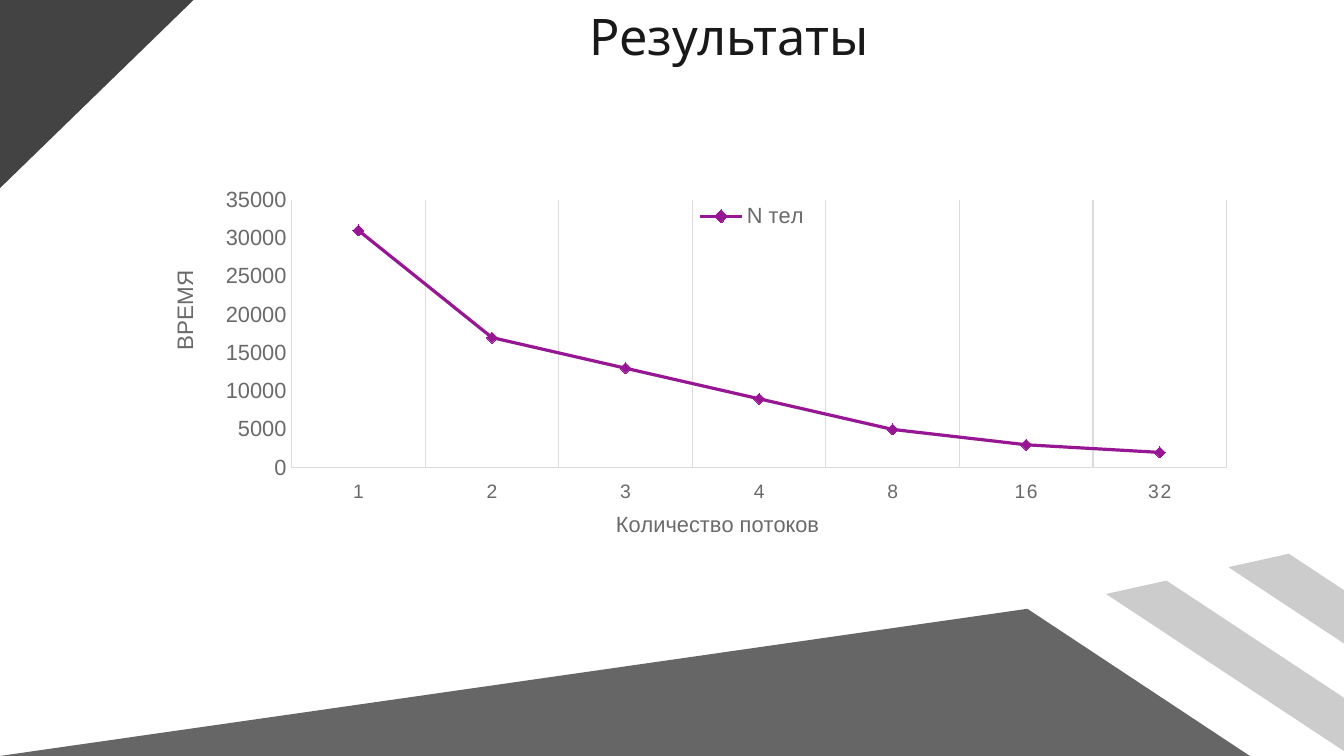
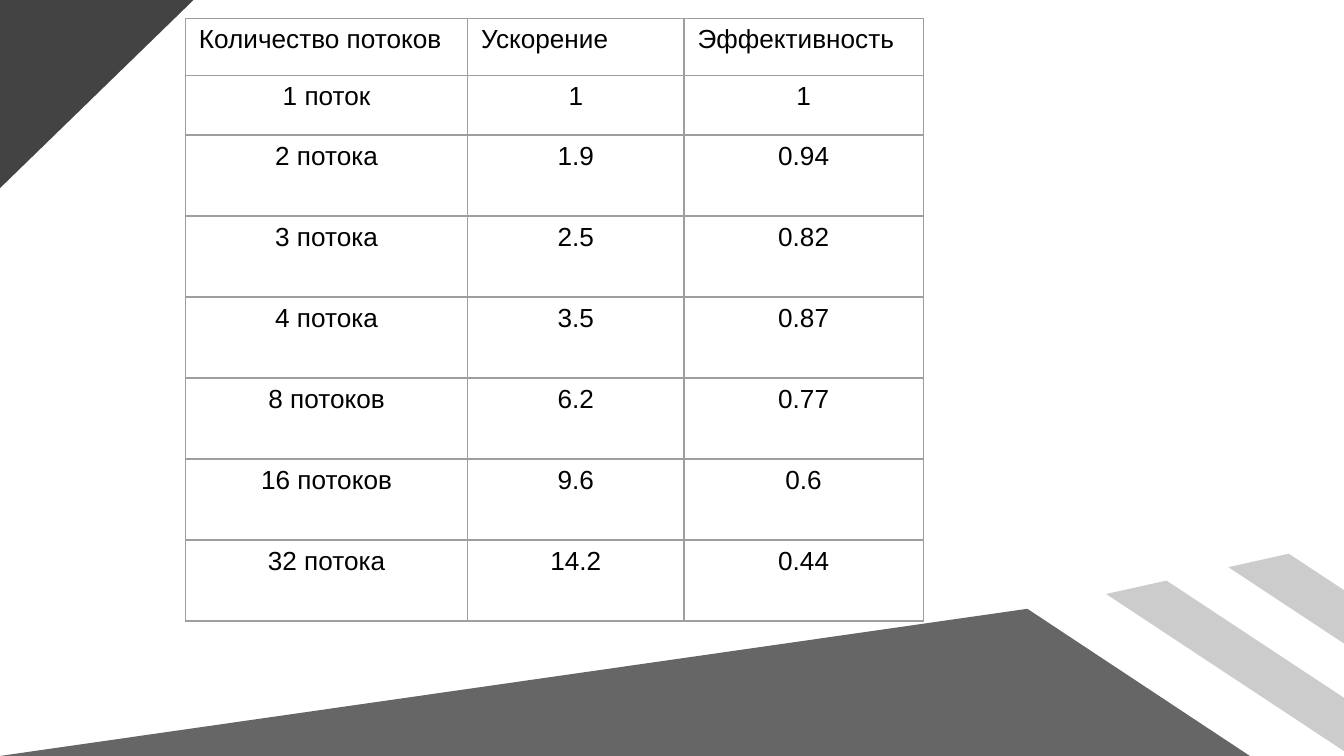
from dataclasses import dataclass

from lxml.etree import SubElement
from pptx import Presentation
from pptx.chart.data import CategoryChartData
from pptx.dml.color import RGBColor
from pptx.enum.chart import (XL_CHART_TYPE, XL_LEGEND_POSITION, XL_MARKER_STYLE,
                             XL_TICK_LABEL_POSITION, XL_TICK_MARK)
from pptx.enum.shapes import MSO_SHAPE
from pptx.enum.text import MSO_ANCHOR, PP_ALIGN
from pptx.oxml import parse_xml
from pptx.oxml.ns import nsdecls, qn
from pptx.util import Inches, Pt

CELL = 0.1  # inches per grid cell: 100 columns by 56.25 rows
COLS, ROWS = 100, 56.25


@dataclass(frozen=True)
class Theme:
    """Colours, fonts and type sizes of the deck."""
    floor: str = "666666"
    corner: str = "434343"
    stripe: str = "CCCCCC"
    title: str = "191919"
    label: str = "6A6A6A"
    rule: str = "DCDCDC"
    border: str = "9E9E9E"
    ink: str = "000000"
    curve: str = "961693"
    edge: str = "303030"
    head: str = "Cabin"
    body: str = "Arial"
    big: float = 27
    cell: float = 14
    note: float = 12
    tick: float = 10.6


def grid(*cells):
    """Turn grid cells into lengths."""
    return [Inches(n * CELL) for n in cells]


def tint(part, color):
    """Fill a fill format with one colour."""
    part.solid()
    part.fore_color.rgb = RGBColor.from_string(color)


def stroke(line, color, width):
    """Set the colour and width of a line."""
    tint(line.fill, color)
    line.width = Pt(width)


def style(font, size, color, face):
    """Set a font's size, colour and face."""
    font.size, font.name, font.bold = Pt(size), face, False
    font.color.rgb = RGBColor.from_string(color)


def write(frame, words, size=12, color="000000", face="Arial", align=PP_ALIGN.CENTER):
    """Put formatted words into a text frame."""
    para = frame.paragraphs[0]
    para.alignment = align
    run = para.add_run()
    run.text = words
    style(run.font, size, color, face)


def place(node, index, x, y, w=None, h=None, inner=False):
    """Give a chart part a fixed place, in shares of the chart."""
    for old in node.findall(qn("c:layout")):
        node.remove(old)
    layout = parse_xml(f"<c:layout {nsdecls('c')}/>")
    box = SubElement(layout, qn("c:manualLayout"))
    pairs = [("layoutTarget", "inner")] if inner else []
    pairs += [("xMode", "edge"), ("yMode", "edge"), ("x", x), ("y", y)]
    if w:
        pairs += [("w", w), ("h", h)]
    for tag, value in pairs:
        SubElement(box, qn("c:" + tag)).set("val", str(value))
    node.insert(index, layout)


class Deck:
    """Holds the theme, the file and the current slide."""

    def __init__(self, theme):
        """Start an empty deck."""
        self.theme = theme
        self.show = Presentation()
        self.show.slide_width, self.show.slide_height = grid(COLS, ROWS)

    def page(self):
        """Start a slide with the shared bands."""
        t = self.theme
        self.slide = self.show.slides.add_slide(self.show.slide_layouts[6])
        tint(self.slide.background.fill, "FFFFFF")
        floor = self.shape(MSO_SHAPE.ISOSCELES_TRIANGLE, t.floor, 0, 45.3, 93, 10.95)
        floor.adjustments[0] = 0.822
        corner = self.shape(MSO_SHAPE.RIGHT_TRIANGLE, t.corner, 0.2, -0.2, 14, 14.4)
        corner.rotation = 90
        self.stripe(91.4, 42.2, 29.7)
        self.stripe(82.3, 44.2, 41)

    def finish(self, shape, color):
        """Give a shape a plain fill, no line and no shadow."""
        shape.shadow.inherit = False
        tint(shape.fill, color)
        shape.line.fill.background()
        return shape

    def shape(self, kind, color, *box):
        """Add a preset shape."""
        return self.finish(self.slide.shapes.add_shape(kind, *grid(*box)), color)

    def stripe(self, x, y, run, slope=0.66):
        """Add a slanted stripe that bleeds over the right edge."""
        left, top = x + 4.5, y - 1
        right, low = left + run, top + run * slope
        spots = [(left, top), (right, low), (right + 1.1, low + 4.7)]
        pen = self.slide.shapes.build_freeform(*grid(x, y))
        pen.add_line_segments([grid(*spot) for spot in spots])
        self.finish(pen.convert_to_shape(), self.theme.stripe)

    def text(self, words, *box, turn=0, wrap=True, **form):
        """Add a text box."""
        shape = self.slide.shapes.add_textbox(*grid(*box))
        shape.rotation = turn
        frame = shape.text_frame
        frame.word_wrap = wrap
        frame.vertical_anchor = MSO_ANCHOR.MIDDLE
        write(frame, words, **form)

    def title(self, words):
        """Add the slide title."""
        t = self.theme
        self.text(words, 12.1, 0, 84.3, 5.3, size=t.big, color=t.title, face=t.head)

    def chart(self, name, cats, values, label, *box):
        """Add a line chart with markers."""
        t = self.theme
        data = CategoryChartData()
        data.categories = cats
        data.add_series(name, values)
        chart = self.slide.shapes.add_chart(
            XL_CHART_TYPE.LINE_MARKERS, *grid(*box), data).chart
        chart.has_title = False
        style(chart.font, t.note, t.label, t.body)
        plot = chart.plots[0]
        plot.vary_by_categories = False
        line = plot.series[0]
        line.smooth = False
        stroke(line.format.line, t.curve, 1.75)
        line.marker.style, line.marker.size = XL_MARKER_STYLE.DIAMOND, 6
        tint(line.marker.format.fill, t.curve)
        stroke(line.marker.format.line, t.edge, 0.75)

        base, side = chart.category_axis, chart.value_axis
        for axis, size in ((base, t.tick), (side, t.note)):
            axis.major_tick_mark = axis.minor_tick_mark = XL_TICK_MARK.NONE
            style(axis.tick_labels.font, size, t.label, t.body)
            stroke(axis.format.line, t.rule, 0.75)
        base.tick_label_position = XL_TICK_LABEL_POSITION.LOW
        base.has_major_gridlines = True
        stroke(base.major_gridlines.format.line, t.rule, 0.75)
        side.has_major_gridlines = False
        side.minimum_scale, side.maximum_scale, side.major_unit = 0, 35000, 5000
        write(base.axis_title.text_frame, label, size=t.note, color=t.label)

        chart.has_legend = True
        chart.legend.position = XL_LEGEND_POSITION.TOP
        chart.legend.include_in_layout = False
        style(chart.legend.font, t.note, t.label, t.body)
        root = chart.element
        root.xpath(".//c:catAx/c:txPr//a:defRPr")[0].set("spc", "100")
        place(root.xpath(".//c:plotArea")[0], 0, 0.04, 0.033, 0.934, 0.767, inner=True)
        place(root.xpath(".//c:catAx/c:title")[0], 1, 0.36, 0.91)
        place(root.xpath(".//c:legend")[0], 1, 0.43, 0.03, 0.14, 0.1)

    def table(self, rows, x, y, widths, heights):
        """Add a plain table with thin borders."""
        t = self.theme
        shape = self.slide.shapes.add_table(
            len(rows), len(widths), *grid(x, y, sum(widths), sum(heights)))
        table = shape.table
        table.first_row = table.horz_banding = False
        for column, width in zip(table.columns, grid(*widths)):
            column.width = width
        for row, height in zip(table.rows, grid(*heights)):
            row.height = height
        for r, row in enumerate(rows):
            for c, words in enumerate(row):
                cell = table.cell(r, c)
                cell.fill.background()
                write(cell.text_frame, words, size=t.cell, color=t.ink,
                      align=PP_ALIGN.CENTER if r else PP_ALIGN.LEFT)
        for node in shape.element.xpath(".//a:tcPr"):
            for spot, side in enumerate("LRTB"):
                node.insert(spot, parse_xml(
                    f'<a:ln{side} {nsdecls("a")} w="{Pt(0.75)}"><a:solidFill>'
                    f'<a:srgbClr val="{t.border}"/></a:solidFill></a:ln{side}>'))


def main():
    """Build both slides and save them."""
    theme = Theme()
    deck = Deck(theme)

    deck.page()
    deck.title("Результаты")
    deck.chart("N тел", ["1", "2", "3", "4", "8", "16", "32"],
               [31000, 17000, 13000, 9000, 5000, 3000, 2000],
               "Количество потоков", 16.8, 14, 76.4, 26.4)
    deck.text("ВРЕМЯ", 9.7, 21.6, 8, 3, turn=270, wrap=False,
              size=theme.note, color=theme.label)

    deck.page()
    rows = [("Количество потоков", "Ускорение", "Эффективность"),
            ("1 поток", "1", "1"),
            ("2 потока", "1.9", "0.94"),
            ("3 потока", "2.5", "0.82"),
            ("4 потока", "3.5", "0.87"),
            ("8 потоков", "6.2", "0.77"),
            ("16 потоков", "9.6", "0.6"),
            ("32 потока", "14.2", "0.44")]
    deck.table(rows, 13.8, 1.35, [21, 16.1, 17.8], [4.25, 4.45] + [6.03] * 6)

    deck.show.save("out.pptx")


main()
